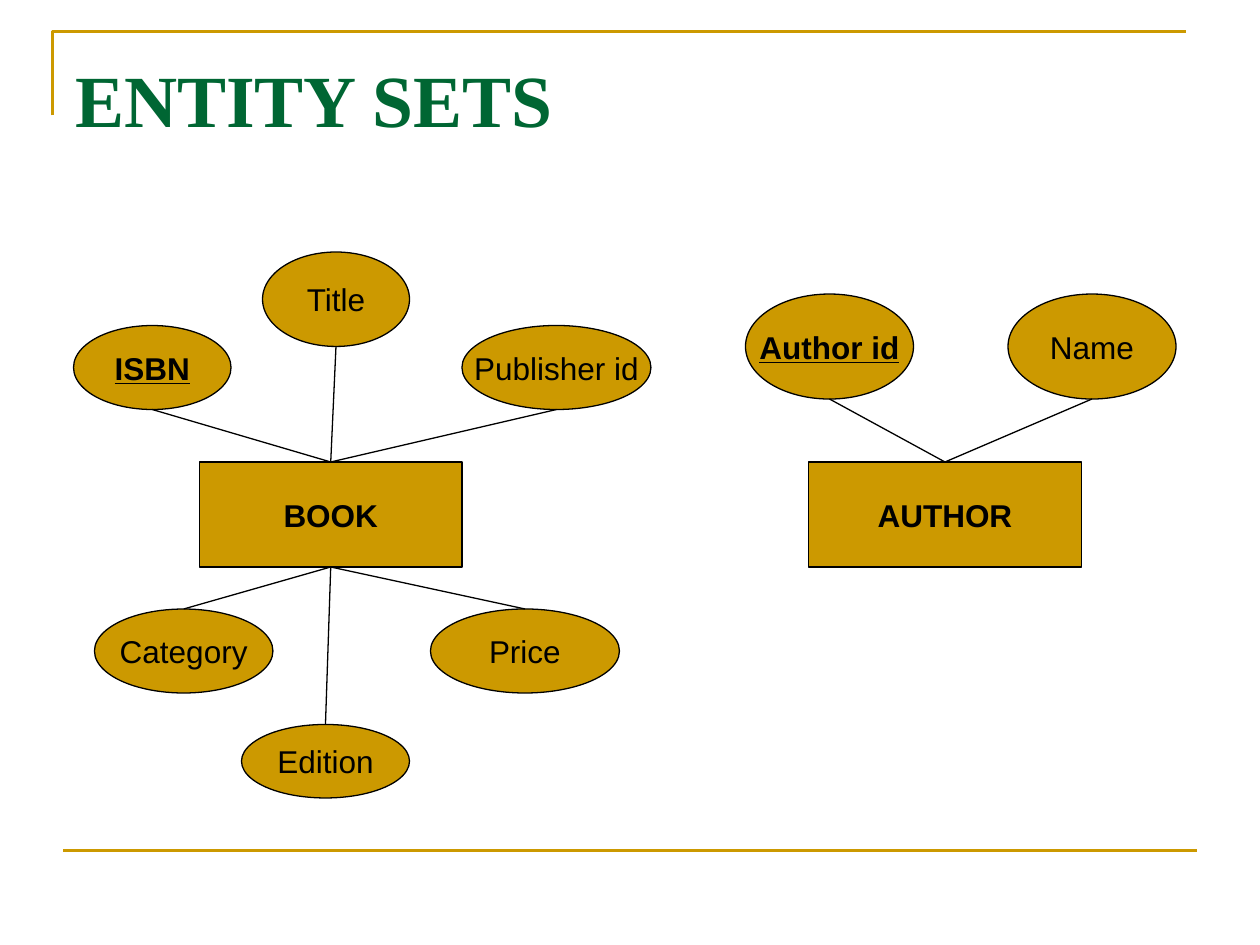
from dataclasses import dataclass

from pptx import Presentation
from pptx.dml.color import RGBColor
from pptx.enum.shapes import MSO_CONNECTOR as Link, MSO_SHAPE as Preset
from pptx.enum.text import MSO_ANCHOR as Anchor, PP_ALIGN as Align
from pptx.oxml.ns import qn
from pptx.util import Pt

GOLD, GREEN, BLACK = "CC9900", "006633", "000000"
LABEL = {"name": "Arial", "size": Pt(18)}
HEADING = {"name": "Times New Roman", "size": Pt(42), "bold": True}
FRAME = {"margin_left": Pt(7.2), "margin_right": Pt(7.2),
         "margin_top": Pt(3.6), "margin_bottom": Pt(3.6)}


@dataclass
class Node:
    text: str
    left: float
    top: float
    width: float
    height: float
    key: bool = False

    @property
    def center(self) -> float:
        return self.left + self.width / 2

    @property
    def bottom(self) -> float:
        return self.top + self.height


@dataclass
class Entity:
    node: Node
    attributes: list[Node]


ENTITIES = [
    Entity(Node("BOOK", 114, 264, 150, 60), [
        Node("ISBN", 42, 186, 90, 48, key=True),
        Node("Publisher id", 264, 186, 108, 48),
        Node("Title", 150, 144, 84, 54),
        Node("Category", 54, 348, 102, 48),
        Node("Edition", 138, 414, 96, 42),
        Node("Price", 246, 348, 108, 48),
    ]),
    Entity(Node("AUTHOR", 462, 264, 156, 60), [
        Node("Author id", 426, 168, 96, 60, key=True),
        Node("Name", 576, 168, 96, 60),
    ]),
]


def color(value: str) -> RGBColor:
    return RGBColor.from_string(value)


def apply(target, values: dict) -> None:
    for name, value in values.items():
        setattr(target, name, value)


def style_line(line, hue: str, width: float) -> None:
    line.color.rgb = color(hue)
    line.width = Pt(width)


def write(box, text: str, font: dict, hue: str, frame: dict, align: Align) -> None:
    apply(box.text_frame, FRAME | frame)
    para = box.text_frame.paragraphs[0]
    para.alignment = align
    span = para.add_run()
    span.text = text
    apply(span.font, font)
    span.font.color.rgb = color(hue)


def draw_node(page, node: Node, preset: Preset, bold: bool) -> None:
    box = page.shapes.add_shape(
        preset, Pt(node.left), Pt(node.top), Pt(node.width), Pt(node.height))
    box.shadow.inherit = False
    box.fill.solid()
    box.fill.fore_color.rgb = color(GOLD)
    style_line(box.line, BLACK, 0.75)
    write(box, node.text, LABEL | {"bold": bold, "underline": node.key}, BLACK,
          {"word_wrap": False, "vertical_anchor": Anchor.MIDDLE}, Align.CENTER)


def draw_line(page, start: tuple, end: tuple, hue: str, width: float) -> None:
    link = page.shapes.add_connector(
        Link.STRAIGHT, *(Pt(value) for value in start + end))
    style_line(link.line, hue, width)
    properties = link._element.spPr
    properties.append(properties.makeelement(qn("a:effectLst"), {}))


def draw_link(page, entity: Node, attribute: Node) -> None:
    """Join the facing edges of an entity and its attribute."""
    if attribute.top < entity.top:
        start, end = attribute.bottom, entity.top
    else:
        start, end = attribute.top, entity.bottom
    draw_line(page, (attribute.center, start), (entity.center, end), BLACK, 0.75)


def draw_border(page) -> None:
    builder = page.shapes.build_freeform(Pt(30), Pt(66))
    builder.add_line_segments([(Pt(30), Pt(18)), (Pt(678), Pt(18))], close=False)
    corner = builder.convert_to_shape()
    corner.shadow.inherit = False
    corner.fill.background()
    style_line(corner.line, GOLD, 1.5)
    draw_line(page, (36, 486), (684, 486), GOLD, 1.5)


def main() -> None:
    deck = Presentation()
    apply(deck, {"slide_width": Pt(720), "slide_height": Pt(540)})
    page = deck.slides.add_slide(deck.slide_layouts[6])

    # Border and title
    draw_border(page)
    title = page.shapes.add_textbox(Pt(36), Pt(21.6), Pt(648), Pt(90))
    write(title, "ENTITY SETS", HEADING, GREEN,
          {"word_wrap": True, "margin_top": Pt(9.5)}, Align.LEFT)

    # Entities with their attributes
    for entity in ENTITIES:
        draw_node(page, entity.node, Preset.RECTANGLE, bold=True)
        for attribute in entity.attributes:
            draw_node(page, attribute, Preset.OVAL, bold=attribute.key)

    # Links
    for entity in ENTITIES:
        for attribute in entity.attributes:
            draw_link(page, entity.node, attribute)

    deck.save("out.pptx")


if __name__ == "__main__":
    main()
